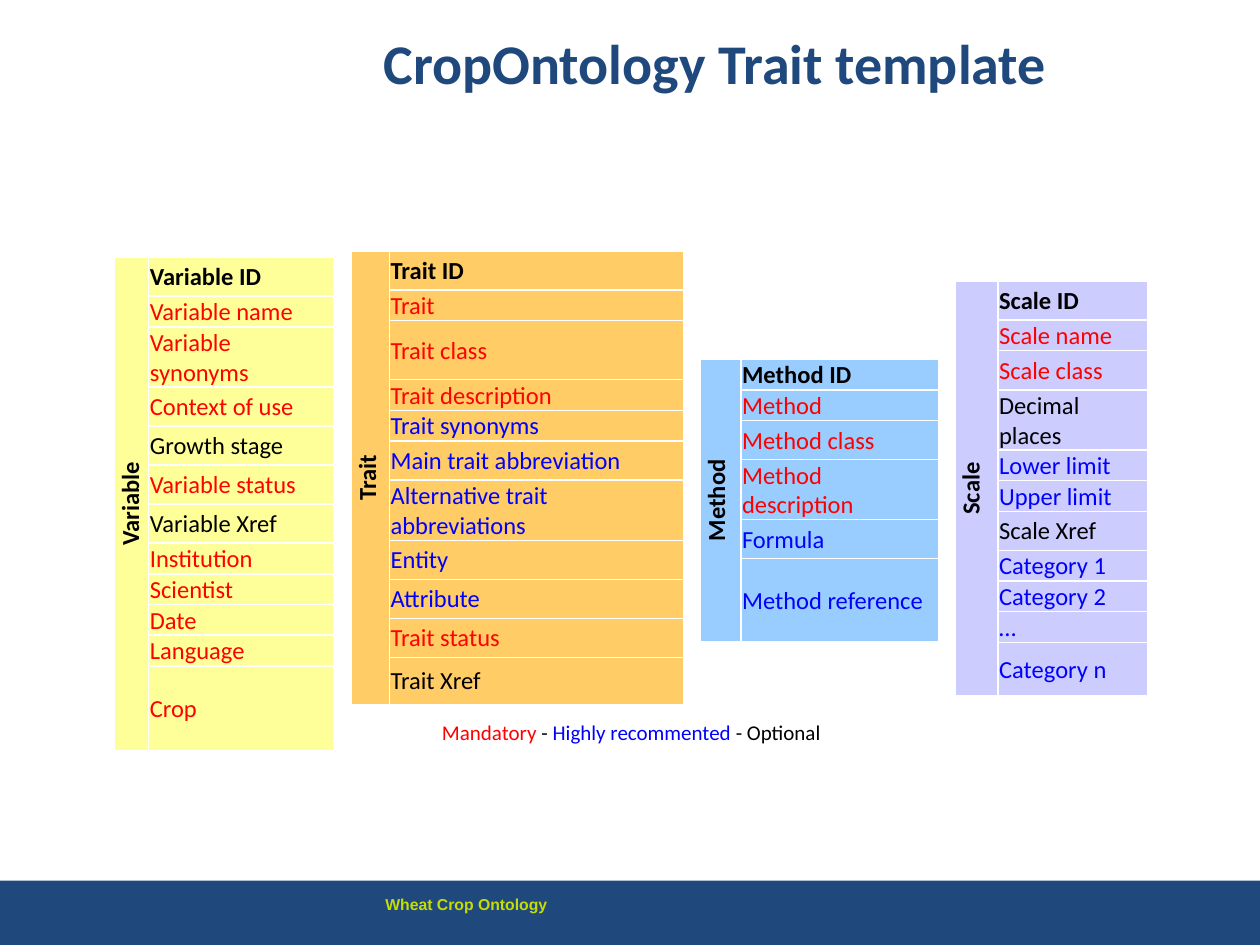
"""Build the Trait template slide: four field tables, a colour legend and a footer band."""
from lxml import etree
from pptx import Presentation
from pptx import util as u
from pptx.dml.color import RGBColor
from pptx.enum import shapes, text
from pptx.oxml.ns import qn

NAVY = RGBColor(0x1F, 0x49, 0x7D)
LIME = RGBColor(0xC5, 0xDD, 0x01)
RED = RGBColor(0xFF, 0x00, 0x00)
BLUE = RGBColor(0x00, 0x00, 0xFF)
BLACK = RGBColor(0x00, 0x00, 0x00)
WHITE = RGBColor(0xFF, 0xFF, 0xFF)
YELLOW = RGBColor(0xFF, 0xFF, 0x99)
ORANGE = RGBColor(0xFF, 0xCC, 0x66)
SKY = RGBColor(0x99, 0xCC, 0xFF)
LILAC = RGBColor(0xCC, 0xCC, 0xFF)

LOW, TALL, DOUBLE = 0.23, 0.31, 0.47

TITLE = "CropOntology Trait template"
FOOTER = "Wheat Crop Ontology"
LEGEND = [("Mandatory", RED), (" - ", BLACK),
          ("Highly recommented ", BLUE), ("- Optional", BLACK)]
TABLES = [
    {"name": "Variable", "fill": YELLOW, "place": (0.91, 2.04, 1.74, 3.48), "label": 0.27,
     "fields": [("Variable ID", BLACK, TALL), ("Variable name", RED, LOW),
                ("Variable synonyms", RED, LOW), ("Context of use", RED, TALL),
                ("Growth stage", BLACK, TALL), ("Variable status", RED, TALL),
                ("Variable Xref", BLACK, TALL), ("Institution", RED, LOW),
                ("Scientist", RED, LOW), ("Date", RED, LOW),
                ("Language", RED, LOW), ("Crop", RED, LOW)]},
    {"name": "Trait", "fill": ORANGE, "place": (2.79, 1.99, 2.64, 3.54), "label": 0.3,
     "fields": [("Trait ID", BLACK, TALL), ("Trait", RED, LOW),
                ("Trait class", RED, DOUBLE), ("Trait description", RED, LOW),
                ("Trait synonyms", BLUE, LOW), ("Main trait abbreviation", BLUE, TALL),
                ("Alternative trait abbreviations", BLUE, LOW), ("Entity", BLUE, TALL),
                ("Attribute", BLUE, TALL), ("Trait status", RED, TALL),
                ("Trait Xref", BLACK, TALL)]},
    {"name": "Method", "fill": SKY, "place": (5.56, 2.85, 1.89, 1.82), "label": 0.32,
     "fields": [("Method ID", BLACK, LOW), ("Method", RED, LOW),
                ("Method class", RED, TALL), ("Method description", RED, LOW),
                ("Formula", BLUE, TALL), ("Method reference", BLUE, LOW)]},
    {"name": "Scale", "fill": LILAC, "place": (7.58, 2.23, 1.53, 2.87), "label": 0.34,
     "fields": [("Scale ID", BLACK, TALL), ("Scale name", RED, LOW),
                ("Scale class", RED, TALL), ("Decimal places", BLACK, LOW),
                ("Lower limit", BLUE, LOW), ("Upper limit", BLUE, LOW),
                ("Scale Xref", BLACK, TALL), ("Category 1", BLUE, LOW),
                ("Category 2", BLUE, LOW), ("…", BLUE, LOW), ("Category n", BLUE, LOW)]},
]


def inches(values):
    return [u.Inches(value) for value in values]


def set_font(font, size, color, bold=False, name="Calibri"):
    font.name, font.size, font.bold = name, u.Pt(size), bold
    font.color.rgb = color


def style_cell(cell, fill):
    cell.fill.solid()
    cell.fill.fore_color.rgb = fill
    cell.vertical_anchor = text.MSO_ANCHOR.MIDDLE
    cell.margin_left = cell.margin_top = cell.margin_right = u.Inches(0.01)
    cell.margin_bottom = 0
    properties = cell._tc.get_or_add_tcPr()
    for index, side in enumerate(("a:lnL", "a:lnR", "a:lnT", "a:lnB")):
        line = etree.Element(qn(side), w=str(u.Pt(1)))
        paint = etree.SubElement(line, qn("a:solidFill"))
        etree.SubElement(paint, qn("a:srgbClr"), val=str(WHITE))
        properties.insert(index, line)


def write_cell(cell, words, color, bold):
    para = cell.text_frame.paragraphs[0]
    para.text = words
    set_font(para.font, 14, color, bold)
    return para


def add_field_table(page, name, fill, place, label, fields):
    left, top, width, height = inches(place)
    frame = page.shapes.add_table(len(fields), 2, left, top, width, height)
    table = frame.table
    table.horz_banding = table.first_row = False
    table.columns[0].width = u.Inches(label)
    table.columns[1].width = width - u.Inches(label)
    for index, (words, color, row_height) in enumerate(fields):
        table.rows[index].height = u.Inches(row_height)
        for column in range(2):
            style_cell(table.cell(index, column), fill)
        write_cell(table.cell(index, 1), words, color, index == 0)
    header = table.cell(0, 0)
    header.merge(table.cell(len(fields) - 1, 0))
    write_cell(header, name, BLACK, True).alignment = text.PP_ALIGN.CENTER
    header._tc.get_or_add_tcPr().set("vert", "vert270")
    frame.height = height


def add_text(page, place, spans, size, name="Calibri", bold=False, wrap=True):
    box = page.shapes.add_textbox(*inches(place))
    box.text_frame.word_wrap = wrap
    box.text_frame.auto_size = text.MSO_AUTO_SIZE.SHAPE_TO_FIT_TEXT
    para = box.text_frame.paragraphs[0]
    for words, color in spans:
        span = para.add_run()
        span.text = words
        set_font(span.font, size, color, bold, name)


def main():
    deck = Presentation()
    deck.slide_width, deck.slide_height = u.Inches(10), u.Inches(7.5)
    page = deck.slides.add_slide(deck.slide_layouts[5])

    band = page.shapes.add_shape(shapes.MSO_SHAPE.RECTANGLE, *inches((0, 6.99, 10, 0.53)))
    band.shadow.inherit = False
    band.fill.solid()
    band.fill.fore_color.rgb = NAVY
    band.line.fill.background()
    add_text(page, (2.96, 7.05, 4.92, 0.25), [(FOOTER, LIME)], 9, "Arial", bold=True)

    title = page.shapes.title
    title.left, title.top, title.width, title.height = inches((1.85, 0, 7.65, 0.99))
    title.text_frame.text = TITLE
    title.text_frame.vertical_anchor = text.MSO_ANCHOR.MIDDLE
    para = title.text_frame.paragraphs[0]
    para.alignment = text.PP_ALIGN.CENTER
    set_font(para.font, 32, NAVY, True)

    for table in TABLES:
        add_field_table(page, **table)
    add_text(page, (3.41, 5.66, 3.23, 0.3), LEGEND, 12, wrap=False)
    deck.save("out.pptx")


if __name__ == "__main__":
    main()
